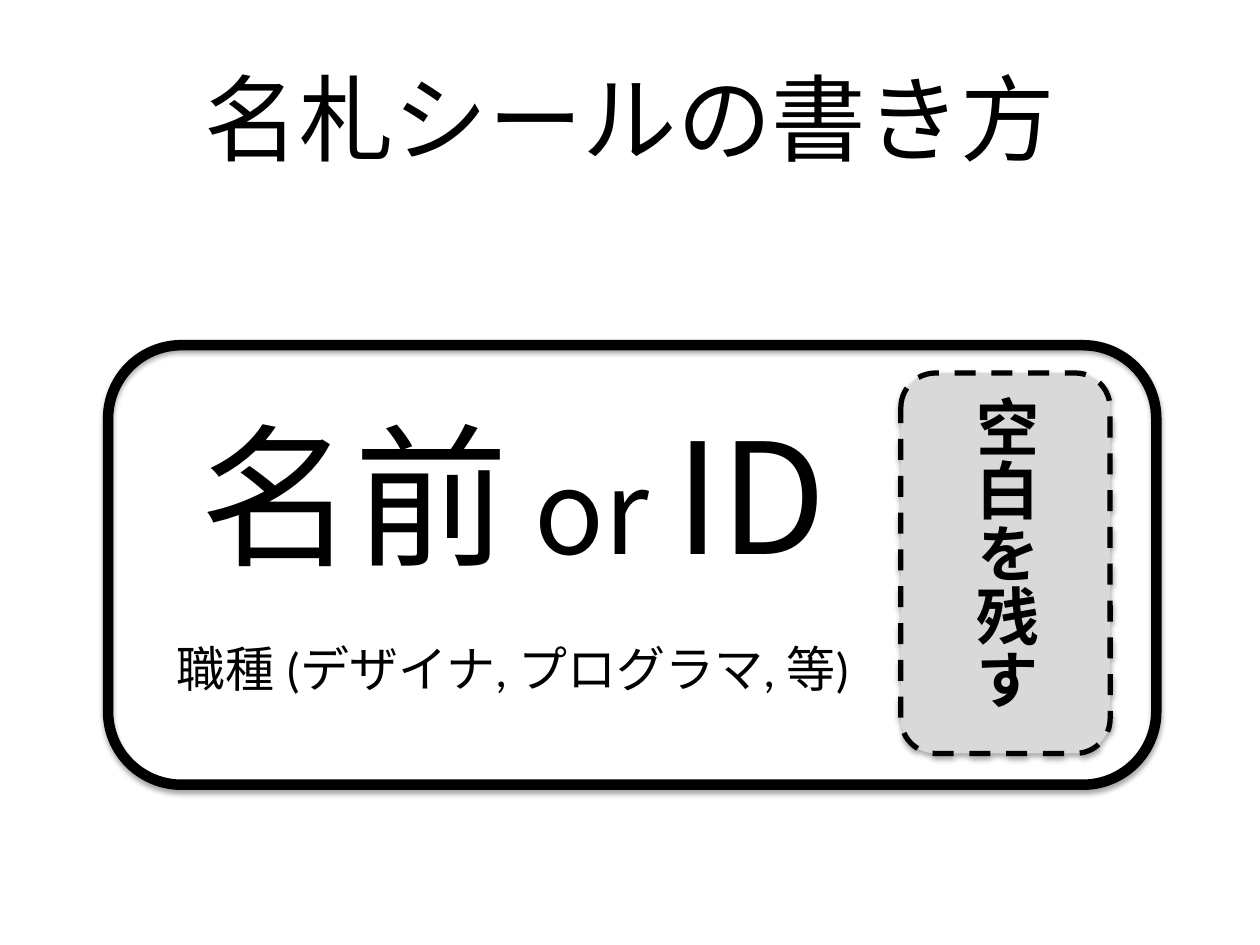
import pptx
import pptx.dml.color
import pptx.enum.dml
import pptx.enum.shapes
import pptx.enum.text
import pptx.oxml
import pptx.oxml.ns
import pptx.util
from pptx.util import Cm

COLORS = {"ink": "000000", "blank": "D9D9D9", "paper": "FFFFFF"}
GOTHIC = "Noto Sans CJK JP"
MIDDLE = pptx.enum.text.MSO_ANCHOR.MIDDLE
TOP = pptx.enum.text.MSO_ANCHOR.TOP


def rgb(name):
    return pptx.dml.color.RGBColor.from_string(COLORS[name])


def write_text(sp, runs, font=GOTHIC, bold=False, anchor=MIDDLE):
    tf = sp.text_frame
    tf.word_wrap = True
    tf.vertical_anchor = anchor
    p = tf.paragraphs[0]
    p.alignment = pptx.enum.text.PP_ALIGN.CENTER
    for text, size in runs:
        r = p.add_run()
        r.text = text
        r.font.size = pptx.util.Pt(size)
        r.font.name = font
        r.font.bold = bold
        r.font.color.rgb = rgb("ink")
        ea = pptx.oxml.parse_xml(
            f'<a:ea {pptx.oxml.ns.nsdecls("a")} typeface="{GOTHIC}"/>')
        r.font._element.find(pptx.oxml.ns.qn("a:latin")).addnext(ea)
    return tf


def add_text(slide, box, runs, grow=True, **style):
    sp = slide.shapes.add_textbox(*map(Cm, box))
    tf = write_text(sp, runs, **style)
    if grow:
        tf.auto_size = pptx.enum.text.MSO_AUTO_SIZE.SHAPE_TO_FIT_TEXT


def add_shadow(sp):
    sp.shadow.inherit = False
    effects = sp._element.spPr.find(pptx.oxml.ns.qn("a:effectLst"))
    effects.append(pptx.oxml.parse_xml(
        f'<a:outerShdw {pptx.oxml.ns.nsdecls("a")} blurRad="40000" dist="23000" '
        f'dir="5400000" rotWithShape="0"><a:srgbClr val="{COLORS["ink"]}">'
        '<a:alpha val="35000"/></a:srgbClr></a:outerShdw>'))


def add_frame(slide, box, width, fill=None, dash=None):
    kind = pptx.enum.shapes.MSO_SHAPE.ROUNDED_RECTANGLE
    sp = slide.shapes.add_shape(kind, *map(Cm, box))
    if fill:
        sp.fill.solid()
        sp.fill.fore_color.rgb = rgb(fill)
    else:
        sp.fill.background()
    sp.line.color.rgb = rgb("ink")
    sp.line.width = pptx.util.Pt(width)
    if dash:
        sp.line.dash_style = dash
    add_shadow(sp)
    return sp


def main():
    prs = pptx.Presentation()
    prs.slide_width, prs.slide_height = Cm(25.4), Cm(19.05)
    slide = prs.slides.add_slide(prs.slide_layouts[6])
    slide.background.fill.solid()
    slide.background.fill.fore_color.rgb = rgb("paper")

    add_text(slide, (1.27, 0.76, 22.86, 3.18), [("名札シールの書き方", 54)], grow=False)
    add_frame(slide, (2.18, 6.96, 21.13, 8.86), 6)
    add_text(slide, (2.92, 7.95, 14.86, 4.01),
             [("名前", 88), (" or ", 66), ("ID", 88)], anchor=TOP)
    blank = add_frame(slide, (18.16, 7.52, 4.22, 7.67), 3, "blank",
                      pptx.enum.dml.MSO_LINE.DASH)
    write_text(blank, [("空白を残す", 36)], bold=True)
    blank.text_frame._txBody.bodyPr.set("vert", "eaVert")
    add_text(slide, (2.92, 12.75, 14.86, 1.45),
             [("職種 (デザイナ, プログラマ, 等)", 28)], font="Calibri")

    prs.save("out.pptx")


main()
